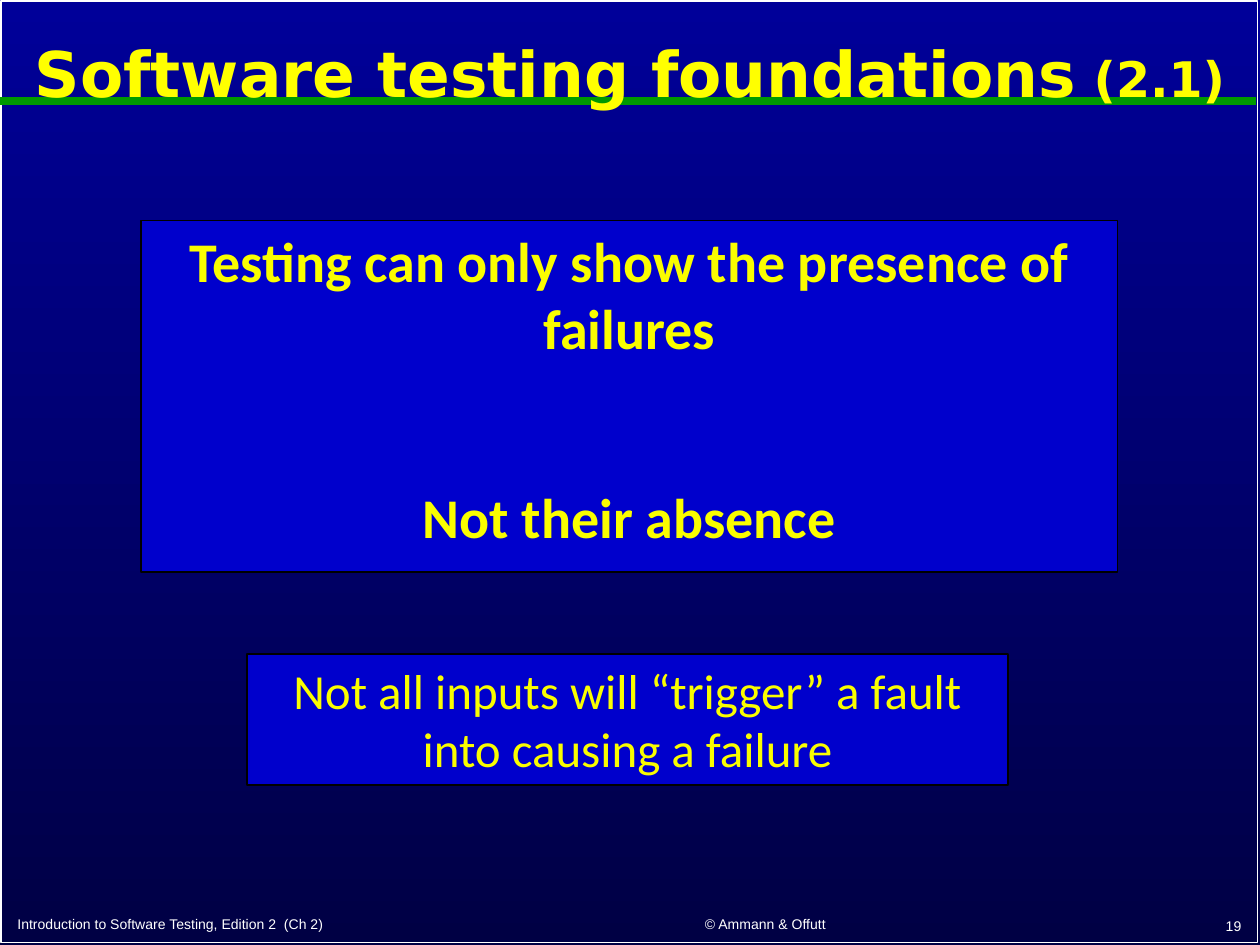
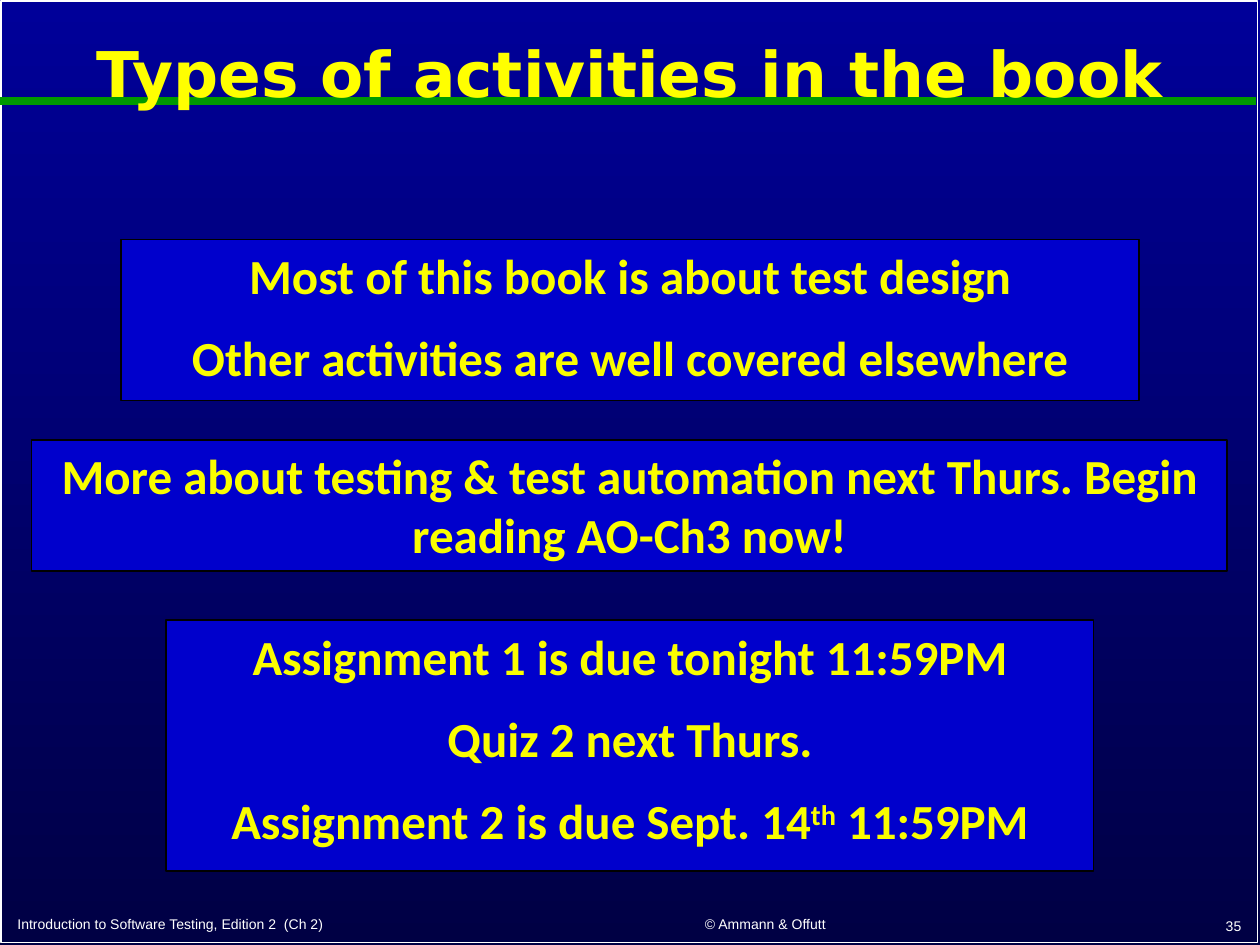
import pptx
import pptx.dml.color
import pptx.enum.shapes
import pptx.enum.text
import pptx.oxml.ns
import pptx.util
from lxml import etree

Inches = pptx.util.Inches
Pt = pptx.util.Pt
RGBColor = pptx.dml.color.RGBColor
ALIGN = pptx.enum.text.PP_ALIGN
ANCHOR = pptx.enum.text.MSO_ANCHOR

# Shared look
SKY_BLUE = RGBColor(0x00, 0x00, 0x99)
NIGHT_BLUE = RGBColor(0x00, 0x00, 0x44)
PANEL_BLUE = RGBColor(0x00, 0x00, 0xCC)
RULE_GREEN = RGBColor(0x00, 0x99, 0x00)
TITLE_YELLOW = RGBColor(0xFF, 0xFF, 0x00)
PANEL_YELLOW = RGBColor(0xFA, 0xFD, 0x00)
WHITE = RGBColor(0xFF, 0xFF, 0xFF)
BLACK = RGBColor(0x00, 0x00, 0x00)

BOOK = "Introduction to Software Testing, Edition 2  (Ch 2)"
AUTHORS = "© Ammann & Offutt"
SUPERSCRIPT = "30000"


def write(paragraph, text, *, size, font, color, bold=False, baseline=None):
    """Append one formatted run to a paragraph."""
    run = paragraph.add_run()
    run.text = text
    run.font.size = Pt(size)
    run.font.name = font
    run.font.color.rgb = color
    run.font.bold = bold
    if baseline:
        run._r.get_or_add_rPr().set("baseline", baseline)


def add_label(slide, box, align, anchor):
    """Add a wrapping text box and return its aligned first paragraph."""
    frame = slide.shapes.add_textbox(*map(Inches, box)).text_frame
    frame.word_wrap = True
    frame.vertical_anchor = anchor
    paragraph = frame.paragraphs[0]
    paragraph.alignment = align
    return paragraph


def add_rect(slide, box, fill, line):
    rect = slide.shapes.add_shape(
        pptx.enum.shapes.MSO_SHAPE.RECTANGLE, *map(Inches, box))
    rect.shadow.inherit = False
    if fill is None:
        rect.fill.background()
    else:
        rect.fill.solid()
        rect.fill.fore_color.rgb = fill
    rect.line.color.rgb = line
    rect.line.width = Pt(1)
    return rect


def add_title_rule(slide):
    rule = slide.shapes.add_connector(
        pptx.enum.shapes.MSO_CONNECTOR.STRAIGHT,
        Inches(0), Inches(0.8), Inches(9.97), Inches(0.8))
    rule.line.color.rgb = RULE_GREEN
    rule.line.width = Pt(4.5)
    etree.SubElement(rule._element.spPr, pptx.oxml.ns.qn("a:effectLst"))


def add_panel(slide, box, lines, size=28, bold=True, gap=13.4):
    """Add a blue panel; each line is a list of (text, baseline) parts."""
    frame = add_rect(slide, box, PANEL_BLUE, BLACK).text_frame
    frame.word_wrap = True
    frame.vertical_anchor = ANCHOR.TOP
    for index, parts in enumerate(lines):
        paragraph = frame.add_paragraph() if index else frame.paragraphs[0]
        paragraph.alignment = ALIGN.CENTER
        if index:
            paragraph.space_before = Pt(gap)
        for text, baseline in parts:
            write(paragraph, text, size=size, font="Calibri",
                  color=PANEL_YELLOW, bold=bold, baseline=baseline)


def plain(*texts):
    return [[(text, None)] for text in texts]


def start_slide(deck, title_parts, number):
    """Add a slide with background, frame, title, rule and footers."""
    slide = deck.slides.add_slide(deck.slide_layouts[6])

    # Background and frame
    backdrop = slide.background.fill
    backdrop.gradient()
    backdrop.gradient_angle = 270
    for stop, color in zip(backdrop.gradient_stops, (SKY_BLUE, NIGHT_BLUE)):
        stop.color.rgb = color
    add_rect(slide, (0.01, 0.01, 9.97, 7.47), None, WHITE)

    # Title over the green rule
    add_title_rule(slide)
    title = add_label(slide, (0.05, 0.11, 9.9, 1), ALIGN.CENTER, ANCHOR.MIDDLE)
    title.line_spacing = 0.9
    for text, size in title_parts:
        write(title, text, size=size, font="DejaVu Sans",
              color=TITLE_YELLOW, bold=True)

    # Footers
    for text, box, align in (
            (BOOK, (0.04, 7.18, 4.2, 0.27), ALIGN.LEFT),
            (AUTHORS, (4.49, 7.17, 3.17, 0.28), ALIGN.CENTER),
            (str(number), (7.87, 7.17, 2.08, 0.29), ALIGN.RIGHT)):
        footer = add_label(slide, box, align, ANCHOR.BOTTOM)
        write(footer, text, size=8, font="Arial", color=WHITE)
    return slide


def main():
    deck = pptx.Presentation()
    deck.slide_width = Inches(10)
    deck.slide_height = Inches(7.5)

    # Foundations
    foundations = start_slide(
        deck, [("Software testing foundations", 36), (" (2.1)", 28)], 19)
    add_panel(foundations, (1.12, 1.75, 7.75, 2.79),
              plain("Testing can only show the presence of failures",
                    "Not their absence"), size=32, gap=69.5)
    add_panel(foundations, (1.96, 5.19, 6.04, 1.04),
              plain("Not all inputs will “trigger” a fault "
                    "into causing a failure"), bold=False)

    # Activities
    activities = start_slide(
        deck, [("Types of activities in the book", 36)], 35)
    add_panel(activities, (0.96, 1.9, 8.08, 1.28),
              plain("Most of this book is about test design",
                    "Other activities are well covered elsewhere"))
    add_panel(activities, (0.25, 3.49, 9.49, 1.04),
              plain("More about testing & test automation next Thurs. "
                    "Begin reading AO-Ch3 now!"))
    due_date = [("Assignment 2 is due Sept. 14", None), ("th", SUPERSCRIPT),
                (" 11:59PM", None)]
    add_panel(activities, (1.32, 4.92, 7.36, 1.99),
              plain("Assignment 1 is due tonight 11:59PM",
                    "Quiz 2 next Thurs.") + [due_date])

    deck.save("out.pptx")


if __name__ == "__main__":
    main()
